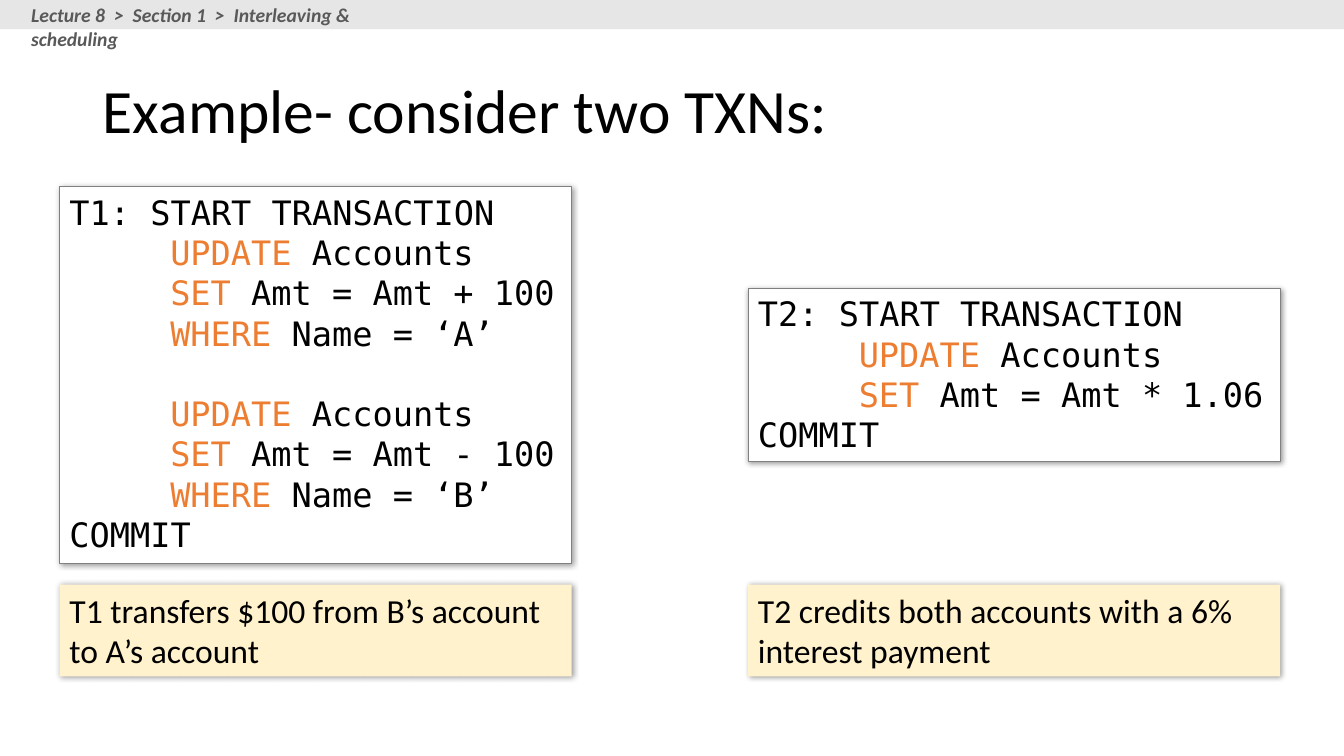
"""Builds a slide that sets two database transactions side by side."""
from dataclasses import dataclass
from typing import Any

from lxml import etree
from pptx import Presentation, util as u
from pptx.dml import color
from pptx.enum import shapes, text
from pptx.oxml import ns

WORDS = ("UPDATE", "SET", "WHERE")


@dataclass(frozen=True)
class Theme:
    """Holds the colours, fonts and type sizes."""
    ink: str = "000000"
    key: str = "ED7D31"
    paper: str = "FFFFFF"
    note: str = "FFF2CC"
    edge: str = "808080"
    bar: str = "E7E6E6"
    trail: str = "595959"
    sans: str = "Calibri"
    mono: str = "DejaVu Sans Mono"
    head: int = 44
    main: int = 24
    small: int = 14


@dataclass(frozen=True)
class Box:
    """Gives a place in percent of the slide's width and height."""
    left: float
    top: float
    width: float
    height: float


@dataclass(frozen=True)
class Panel:
    """Describes one transaction, its statements and its caption."""
    name: str
    code: Box
    steps: tuple[tuple[str, ...], ...]
    note: str


THEME = Theme()
WIDE, HIGH = u.Inches(13.33), u.Inches(7.5)
NOTE_TOP, NOTE_HIGH = 77.33, 12.13
PANELS = (
    Panel("T1", Box(4.43, 24.67, 38.1, 49.87),
          (("UPDATE Accounts", "SET Amt = Amt + 100", "WHERE Name = ‘A’"),
           ("UPDATE Accounts", "SET Amt = Amt - 100", "WHERE Name = ‘B’")),
          "T1 transfers $100 from B’s account to A’s account"),
    Panel("T2", Box(55.66, 38.13, 39.6, 22.93),
          (("UPDATE Accounts", "SET Amt = Amt * 1.06"),),
          "T2 credits both accounts with a 6% interest payment"),
)


def apply(item: Any, values: dict[str, Any]) -> None:
    """Set each named value on an object."""
    for name, value in values.items():
        setattr(item, name, value)


def place(box: Box) -> dict[str, int]:
    """Turn shares of the slide into lengths."""
    return {"left": int(WIDE * box.left / 100), "top": int(HIGH * box.top / 100),
            "width": int(WIDE * box.width / 100), "height": int(HIGH * box.height / 100)}


def write(par: Any, words: str, size: int, font: str = THEME.sans,
          ink: str = THEME.ink, **style: bool) -> None:
    """Add one formatted run to a paragraph."""
    run = par.add_run()
    run.text = words
    apply(run.font, {"name": font, "size": u.Pt(size), **style})
    run.font.color.rgb = color.RGBColor.from_string(ink)


def block(slide: Any, box: Box, fill: str, edge: str = "", shade: bool = True) -> Any:
    """Draw a rectangle with top left text and return it."""
    shape = slide.shapes.add_shape(shapes.MSO_SHAPE.RECTANGLE, **place(box))
    shape.fill.solid()
    shape.fill.fore_color.rgb = color.RGBColor.from_string(fill)
    if edge:
        shape.line.color.rgb = color.RGBColor.from_string(edge)
        shape.line.width = u.Pt(0.75)
    else:
        shape.line.fill.background()
    shape.shadow.inherit = False
    if shade:
        glow = etree.SubElement(
            shape.element.spPr.find(ns.qn("a:effectLst")), ns.qn("a:outerShdw"),
            blurRad=str(u.Pt(4)), dist=str(u.Pt(1)), dir="2700000", algn="tl", rotWithShape="0")
        tint = etree.SubElement(glow, ns.qn("a:srgbClr"), val=THEME.ink)
        etree.SubElement(tint, ns.qn("a:alpha"), val="40000")
    apply(shape.text_frame, {"word_wrap": True, "vertical_anchor": text.MSO_ANCHOR.TOP})
    shape.text_frame.paragraphs[0].alignment = text.PP_ALIGN.LEFT
    return shape


def code(frame: Any, panel: Panel) -> None:
    """Write a transaction with its keywords coloured."""
    def line(par: Any, words: str) -> None:
        """Write one line of code, indented if it opens with a keyword."""
        par.alignment = text.PP_ALIGN.LEFT
        first, gap, rest = words.partition(" ")
        if first in WORDS:
            par._p.get_or_add_pPr().set("marL", str(u.Inches(1)))
            write(par, first + gap, THEME.main, THEME.mono, THEME.key)
            words = rest
        write(par, words, THEME.main, THEME.mono)

    line(frame.paragraphs[0], f"{panel.name}: START TRANSACTION")
    for rank, step in enumerate(panel.steps):
        for row, words in enumerate(step):
            par = frame.add_paragraph()
            if rank and not row:
                par.space_before = u.Pt(28.8)
            line(par, words)
    line(frame.add_paragraph(), "COMMIT")


def header(slide: Any) -> None:
    """Add the title, the top bar and the lecture trail."""
    title = slide.shapes.title
    apply(title, place(Box(6.9, 5.33, 86.27, 19.33)))
    apply(title.text_frame, {"word_wrap": True, "auto_size": text.MSO_AUTO_SIZE.NONE,
                             "vertical_anchor": text.MSO_ANCHOR.MIDDLE})
    par = title.text_frame.paragraphs[0]
    apply(par, {"alignment": text.PP_ALIGN.LEFT, "line_spacing": 0.9})
    write(par, "Example- consider two TXNs:", THEME.head)
    block(slide, Box(0, 0, 100, 3.87), THEME.bar, shade=False)
    trail = slide.shapes.add_textbox(**place(Box(1.58, 0, 31.36, 4.27)))
    apply(trail.text_frame, {"word_wrap": True, "margin_top": u.Inches(0.03)})
    write(trail.text_frame.paragraphs[0], "Lecture 8  >  Section 1  >  Interleaving & scheduling",
          THEME.small, ink=THEME.trail, bold=True, italic=True)


def main() -> None:
    """Build and save the slide."""
    deck = Presentation()
    apply(deck, {"slide_width": WIDE, "slide_height": HIGH})
    slide = deck.slides.add_slide(deck.slide_layouts[5])
    header(slide)
    for panel in PANELS:
        code(block(slide, panel.code, THEME.paper, THEME.edge).text_frame, panel)
        spot = Box(panel.code.left, NOTE_TOP, panel.code.width, NOTE_HIGH)
        note = block(slide, spot, THEME.note)
        write(note.text_frame.paragraphs[0], panel.note, THEME.main)
    deck.save("out.pptx")


if __name__ == "__main__":
    main()
